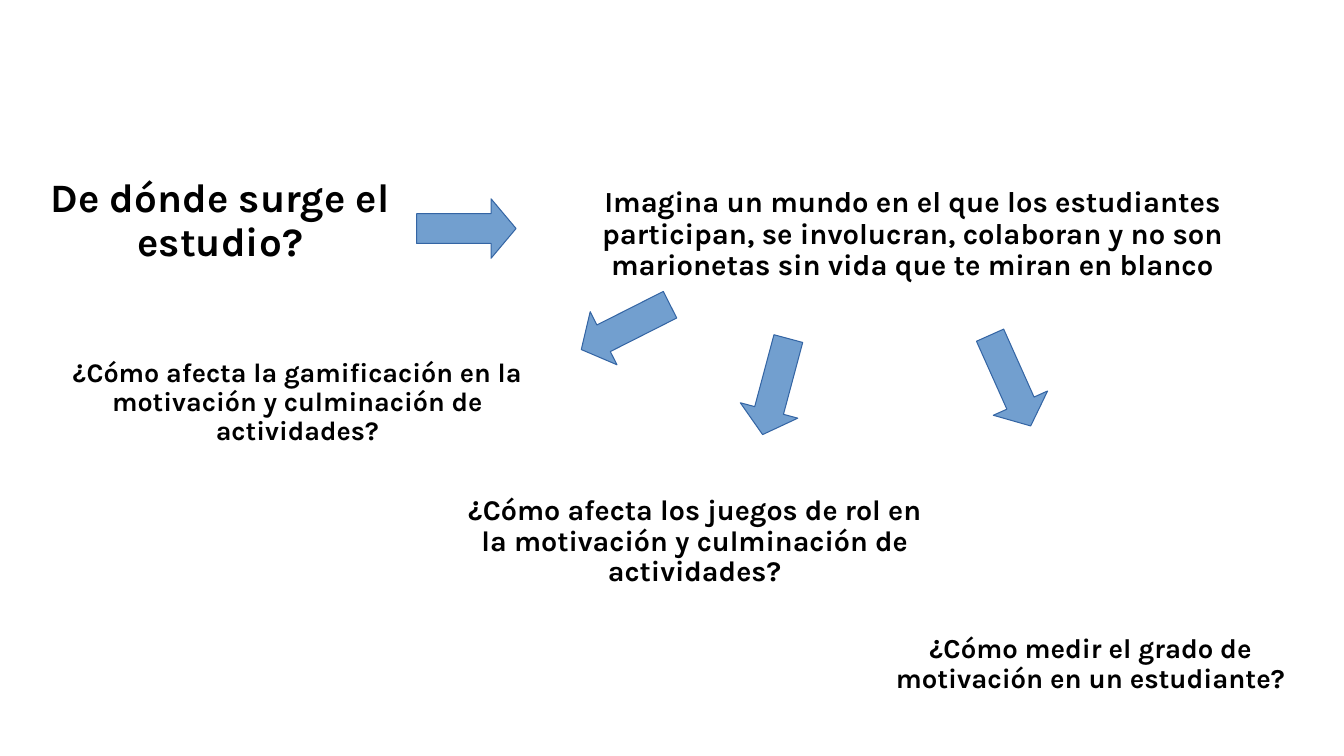
import pptx
import pptx.util
import pptx.dml.color
import pptx.enum.shapes
import pptx.enum.text

Pt = pptx.util.Pt
BLACK = pptx.dml.color.RGBColor(0x00, 0x00, 0x00)
ARROW_FILL = pptx.dml.color.RGBColor(0x72, 0x9F, 0xCF)
ARROW_LINE = pptx.dml.color.RGBColor(0x34, 0x65, 0xA4)
ARROW_WIDTH, ARROW_HEIGHT = 71, 42.5

deck = pptx.Presentation()
deck.slide_width, deck.slide_height = Pt(960), Pt(540)
page = deck.slides.add_slide(deck.slide_layouts[6])

# left, top, width, height, font size, paragraphs
texts = [
    (14.4, 113, 285.8, 90, 28.8, ["De dónde surge el estudio?"]),
    (382.3, 108.7, 538.6, 118, 20.8, [
        "Imagina un mundo en el que los estudiantes",
        "participan, se involucran, colaboran y no son marionetas sin vida que te miran en blanco",
    ]),
    (42.5, 249.8, 339.8, 75.6, 19.2,
     ["¿Cómo afecta la gamificación en la motivación y culminación de actividades?"]),
    (326.2, 349.2, 339.8, 75.6, 20.4,
     ["¿Cómo afecta los juegos de rol en la motivación y culminación de actividades?"]),
    (609.1, 439.2, 339.8, 70.6, 19.6,
     ["¿Cómo medir el grado de motivación en un estudiante?"]),
]
for left, top, width, height, size, lines in texts:
    box = page.shapes.add_textbox(Pt(left), Pt(top), Pt(width), Pt(height))
    frame = box.text_frame
    frame.word_wrap = True
    frame.vertical_anchor = pptx.enum.text.MSO_ANCHOR.MIDDLE
    frame.text = "\n".join(lines)
    for para in frame.paragraphs:
        para.alignment = pptx.enum.text.PP_ALIGN.CENTER
        para.line_spacing = 0.9
        para.font.name = "Karla"
        para.font.size = Pt(size)
        para.font.bold = True
        para.font.color.rgb = BLACK

# left, top, rotation
for left, top, angle in [(297.6, 142, 0), (411.4, 212.4, 153.2),
                         (518.4, 254.9, 105), (686.2, 250.6, 65.9)]:
    arrow = page.shapes.add_shape(
        pptx.enum.shapes.MSO_SHAPE.RIGHT_ARROW,
        Pt(left), Pt(top), Pt(ARROW_WIDTH), Pt(ARROW_HEIGHT))
    arrow.adjustments[1] = 0.42
    arrow.rotation = angle
    arrow.shadow.inherit = False
    arrow.fill.solid()
    arrow.fill.fore_color.rgb = ARROW_FILL
    arrow.line.color.rgb = ARROW_LINE
    arrow.line.width = Pt(0)

deck.save("out.pptx")
